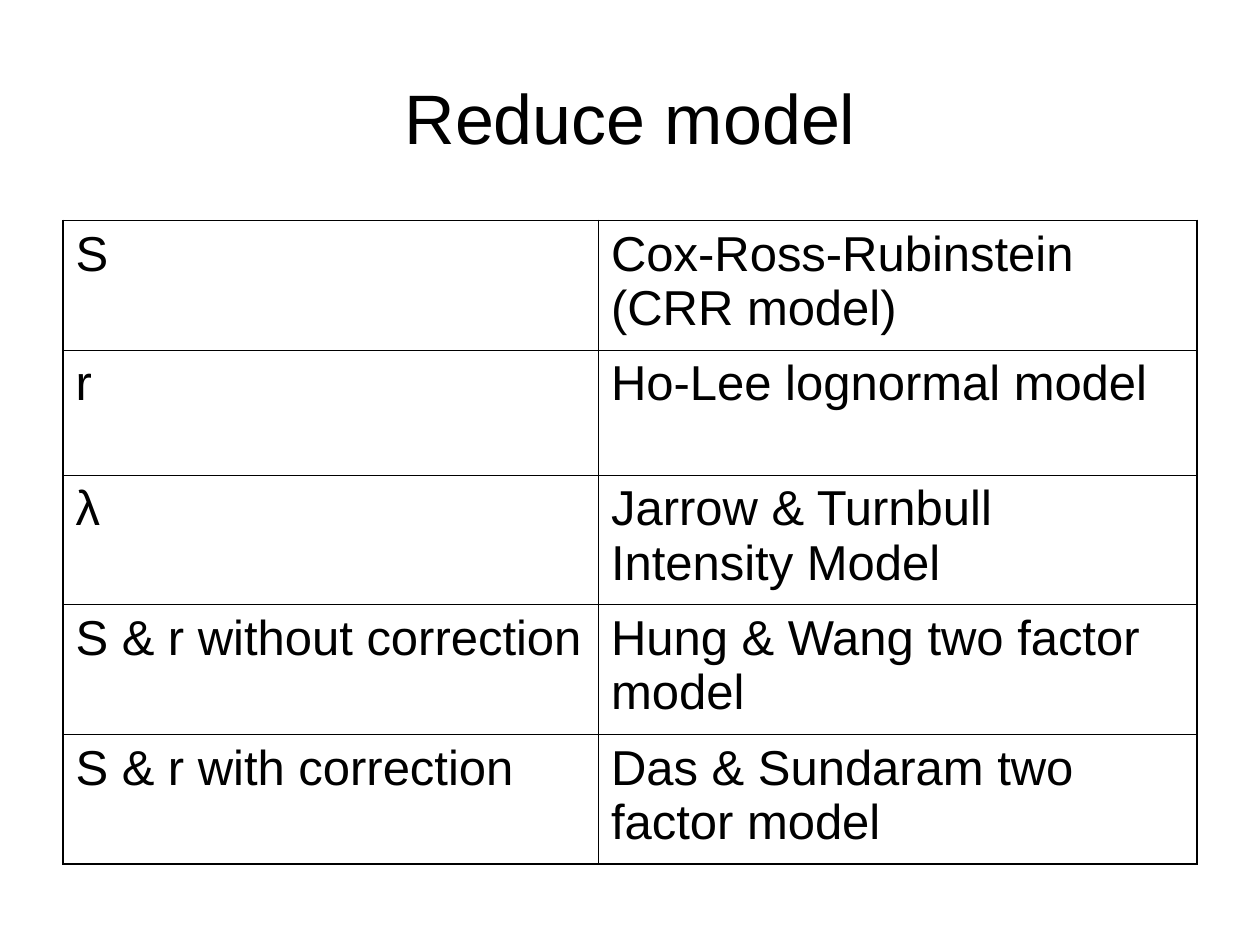
from lxml import etree
from pptx import Presentation
from pptx.dml.color import RGBColor
from pptx.enum import text
from pptx.oxml import ns
from pptx.util import Inches, Pt

BLACK = RGBColor(0, 0, 0)
FONT = "Arial"
OUTER, INNER = Pt(1.08), Pt(0.45)
MODELS = [
    ("S", "Cox-Ross-Rubinstein (CRR model)"),
    ("r", "Ho-Lee lognormal model"),
    ("λ", "Jarrow & Turnbull Intensity Model"),
    ("S & r without correction", "Hung & Wang two factor model"),
    ("S & r with correction", "Das & Sundaram two factor model"),
]
COLUMN_WIDTHS = [4.25, 4.75]
ROW_HEIGHTS = [1.03, 0.99, 1.03, 1.03, 1.03]


class SlideBuilder:
    def __init__(self, slide):
        self.slide = slide

    def add_text(self, frame, words, size, alignment):
        frame.word_wrap = True
        paragraph = frame.paragraphs[0]
        paragraph.alignment = alignment
        paragraph.space_before = Pt(0)
        run = paragraph.add_run()
        run.text = words
        run.font.name = FONT
        run.font.size = Pt(size)
        run.font.color.rgb = BLACK

    def title(self, words, left, top, width, height):
        shape = self.slide.shapes.title
        shape.left, shape.top = Inches(left), Inches(top)
        shape.width, shape.height = Inches(width), Inches(height)
        shape.text_frame.vertical_anchor = text.MSO_ANCHOR.MIDDLE
        self.add_text(shape.text_frame, words, 40, text.PP_ALIGN.CENTER)

    def borders(self, cell, outer_sides):
        properties = cell._tc.get_or_add_tcPr()
        for position, side in enumerate("LRTB"):
            width = OUTER if side in outer_sides else INNER
            line = etree.Element(ns.qn(f"a:ln{side}"), w=str(width))
            fill = etree.SubElement(line, ns.qn("a:solidFill"))
            etree.SubElement(fill, ns.qn("a:srgbClr"), val=str(BLACK))
            properties.insert(position, line)

    def table(self, rows, left, top, widths, heights):
        table = self.slide.shapes.add_table(
            len(rows), len(widths), Inches(left), Inches(top),
            Inches(sum(widths)), Inches(sum(heights))).table
        table.first_row = table.horz_banding = False
        for column, width in zip(table.columns, widths):
            column.width = Inches(width)
        for row, height in zip(table.rows, heights):
            row.height = Inches(height)
        for row_index, row in enumerate(rows):
            for column_index, words in enumerate(row):
                cell = table.cell(row_index, column_index)
                cell.fill.background()
                self.add_text(cell.text_frame, words, 28, text.PP_ALIGN.LEFT)
                outer_sides = {
                    "L": column_index == 0,
                    "R": column_index == len(widths) - 1,
                    "T": row_index == 0,
                    "B": row_index == len(rows) - 1,
                }
                self.borders(cell, [side for side, on in outer_sides.items() if on])


def main():
    presentation = Presentation()
    presentation.slide_width = Inches(10)
    presentation.slide_height = Inches(7.5)
    builder = SlideBuilder(presentation.slides.add_slide(presentation.slide_layouts[5]))
    builder.title("Reduce model", 0.5, 0.3, 9, 1.25)
    builder.table(MODELS, 0.5, 1.75, COLUMN_WIDTHS, ROW_HEIGHTS)
    presentation.save("out.pptx")


if __name__ == "__main__":
    main()
